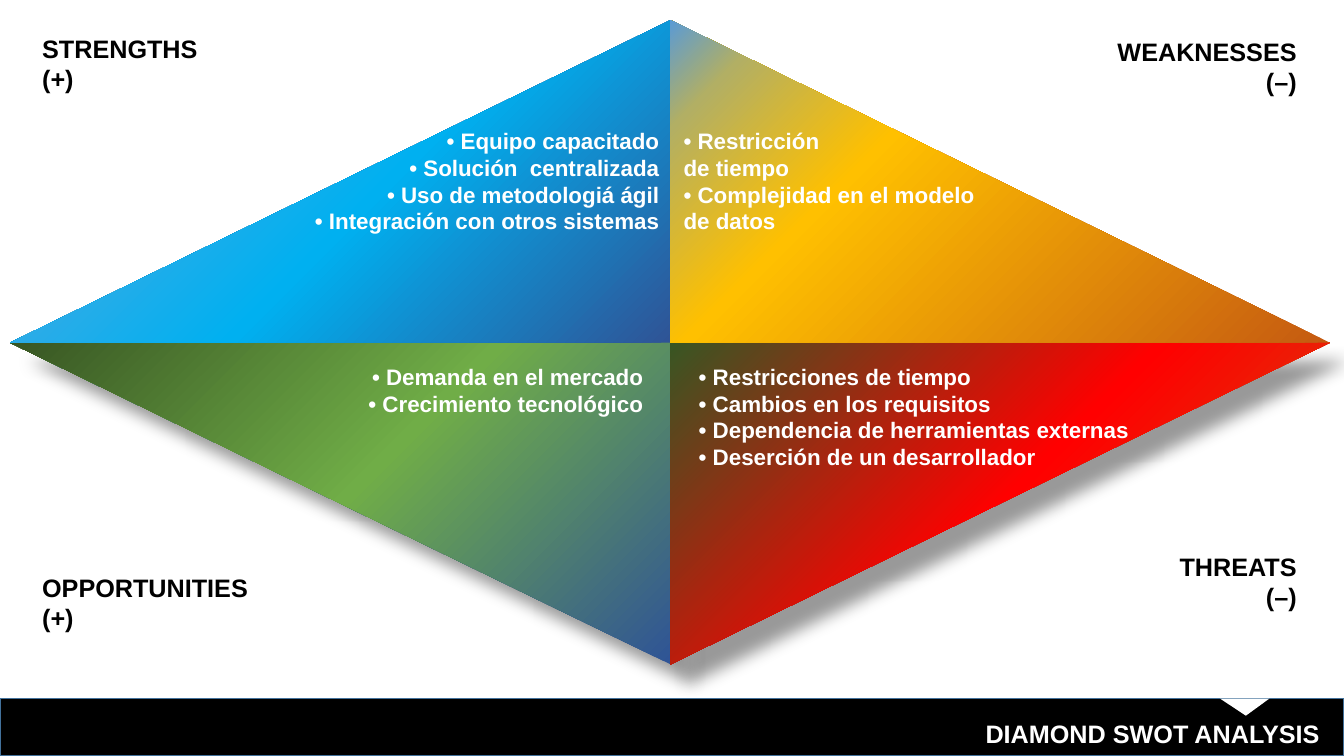
from pptx import Presentation
from pptx.dml.color import RGBColor
from pptx.enum.shapes import MSO_SHAPE
from pptx.enum.text import MSO_ANCHOR, MSO_AUTO_SIZE, PP_ALIGN
from pptx.oxml import parse_xml
from pptx.oxml.ns import nsdecls
from pptx.util import Inches, Pt

# Content
TITLE = "DIAMOND SWOT ANALYSIS"
LEFT, RIGHT = PP_ALIGN.LEFT, PP_ALIGN.RIGHT

# Corner labels: text, box, alignment
LABELS = [
    ("STRENGTHS (+)", (0.32, 0.28, 1.96, 0.71), LEFT),
    ("OPPORTUNITIES\n(+)", (0.32, 5.63, 2.5, 0.71), LEFT),
    ("WEAKNESSES (–)", (10.71, 0.31, 2.25, 0.71), RIGHT),
    ("THREATS\n(–)", (10.46, 5.42, 2.5, 0.71), RIGHT),
]

# Lists: lines, box, alignment
LISTS = [
    (["• Equipo capacitado", "• Solución  centralizada",
      "• Uso de metodologiá ágil", "• Integración con otros sistemas"],
     (1.93, 1.21, 4.71, 1.88), RIGHT),
    (["• Demanda en el mercado", "• Crecimiento tecnológico"],
     (1.93, 3.55, 4.55, 2.22), RIGHT),
    (["• Restricciones de tiempo", "• Cambios en los requisitos",
      "• Dependencia de herramientas externas",
      "• Deserción de un desarrollador"],
     (6.83, 3.55, 4.55, 2.22), LEFT),
    (["• Restricción", "de tiempo", "• Complejidad en el modelo", "de datos"],
     (6.68, 1.21, 4.55, 2.22), LEFT),
]

COLORS = {
    "black": "000000", "white": "FFFFFF", "edge": "42719B",
    "pale": "6EA5DA", "sky": "5B9BD5", "cyan": "00B0F0", "navy": "2F5496",
    "forest": "385623", "green": "70AD47", "red": "FF0000",
    "rust": "C55A11", "sand": "B2AF64", "gold": "FFC000",
}

# Diamond: centre and tips, then quarters as side, end, colour stops
MID_X, MID_Y = 6.65, 3.4
SIDES = {"west": 0.1, "east": 13.19}
ENDS = {"north": 0.2, "south": 6.59}
QUARTERS = [
    ("west", "south", [(0, "forest"), (50, "green"), (100, "navy")]),
    ("west", "north", [(0, "pale"), (55, "cyan"), (100, "navy")]),
    ("east", "south", [(0, "forest"), (50, "red"), (100, "rust")]),
    ("east", "north", [(0, "sky"), (11, "sand"), (34, "gold"), (100, "rust")]),
]


def tint(name):
    return RGBColor.from_string(COLORS[name])


def place(shape, box):
    shape.left, shape.top, shape.width, shape.height = map(Inches, box)


def write(shape, text, size, color, align):
    frame = shape.text_frame
    frame.text = text
    frame.word_wrap = True
    frame.auto_size = MSO_AUTO_SIZE.NONE
    frame.vertical_anchor = MSO_ANCHOR.TOP
    for para in frame.paragraphs:
        para.alignment = align
        para.space_before = Pt(0)
        para.font.name, para.font.size = "Arial", Pt(size)
        para.font.bold = True
        para.font.color.rgb = tint(color)


def raise_up(shape):
    tree = shape.element.getparent()
    tree.append(shape.element)


def blend(shape, stops):
    marks = "".join(
        f'<a:gs pos="{pos * 1000}"><a:srgbClr val="{COLORS[name]}"/></a:gs>'
        for pos, name in stops)
    shape.element.spPr.insert(2, parse_xml(
        f'<a:gradFill {nsdecls("a")} rotWithShape="1"><a:gsLst>{marks}</a:gsLst>'
        '<a:path path="circle"><a:fillToRect r="100000" b="100000"/></a:path>'
        '</a:gradFill>'))


def shade(shape):
    effects = shape.element.spPr.find(
        "{http://schemas.openxmlformats.org/drawingml/2006/main}effectLst")
    effects.append(parse_xml(
        f'<a:outerShdw {nsdecls("a")} blurRad="{Pt(12)}" dist="{Pt(19)}" '
        'dir="2700000" algn="tl" rotWithShape="0">'
        f'<a:srgbClr val="{COLORS["black"]}"><a:alpha val="40000"/></a:srgbClr>'
        '</a:outerShdw>'))


def main():
    deck = Presentation()
    deck.slide_width, deck.slide_height = Inches(13.33), Inches(7.5)
    slide = deck.slides.add_slide(deck.slide_layouts.get_by_name("Comparison"))
    shapes = slide.shapes
    title, *bodies = list(slide.placeholders)

    # Footer bar with notch
    for kind, box, color in [
            (MSO_SHAPE.RECTANGLE, (0, 6.93, 13.33, 0.57), "black"),
            (MSO_SHAPE.ISOSCELES_TRIANGLE, (12.1, 6.93, 0.49, 0.17), "white")]:
        part = shapes.add_shape(kind, *map(Inches, box))
        part.shadow.inherit = False
        part.fill.solid()
        part.fill.fore_color.rgb = tint(color)
        if kind == MSO_SHAPE.RECTANGLE:
            part.line.color.rgb = tint("edge")
            part.line.width = Pt(1)
        else:
            part.line.fill.background()
            part.rotation = 180
            part.adjustments[0] = 0.477

    # Title
    place(title, (6.41, 7.08, 6.78, 0.4))
    write(title, TITLE, 18, "white", RIGHT)
    raise_up(title)

    # Corner labels
    for text, box, align in LABELS:
        label = shapes.add_textbox(*map(Inches, box))
        write(label, text, 18, "black", align)

    # Diamond quarters
    for side, end, stops in QUARTERS:
        tip = Inches(MID_X), Inches(ENDS[end])
        pen = shapes.build_freeform(*tip)
        pen.add_line_segments([(Inches(SIDES[side]), Inches(MID_Y)),
                               (Inches(MID_X), Inches(MID_Y))])
        wing = pen.convert_to_shape()
        wing.shadow.inherit = False
        wing.line.fill.background()
        blend(wing, stops)
        if end == "south":
            shade(wing)

    # Lists
    for body, (lines, box, align) in zip(bodies, LISTS):
        place(body, box)
        write(body, "\n".join(lines), 16, "white", align)
        for para in body.text_frame.paragraphs:
            props = para._p.get_or_add_pPr()
            props.set("marL", "0")
            props.set("indent", "0")
            props.append(props.makeelement(
                "{http://schemas.openxmlformats.org/drawingml/2006/main}buNone"))
            # Bullet choice goes before the default run format
            props.append(props.defRPr)
        raise_up(body)

    deck.save("out.pptx")


if __name__ == "__main__":
    main()
